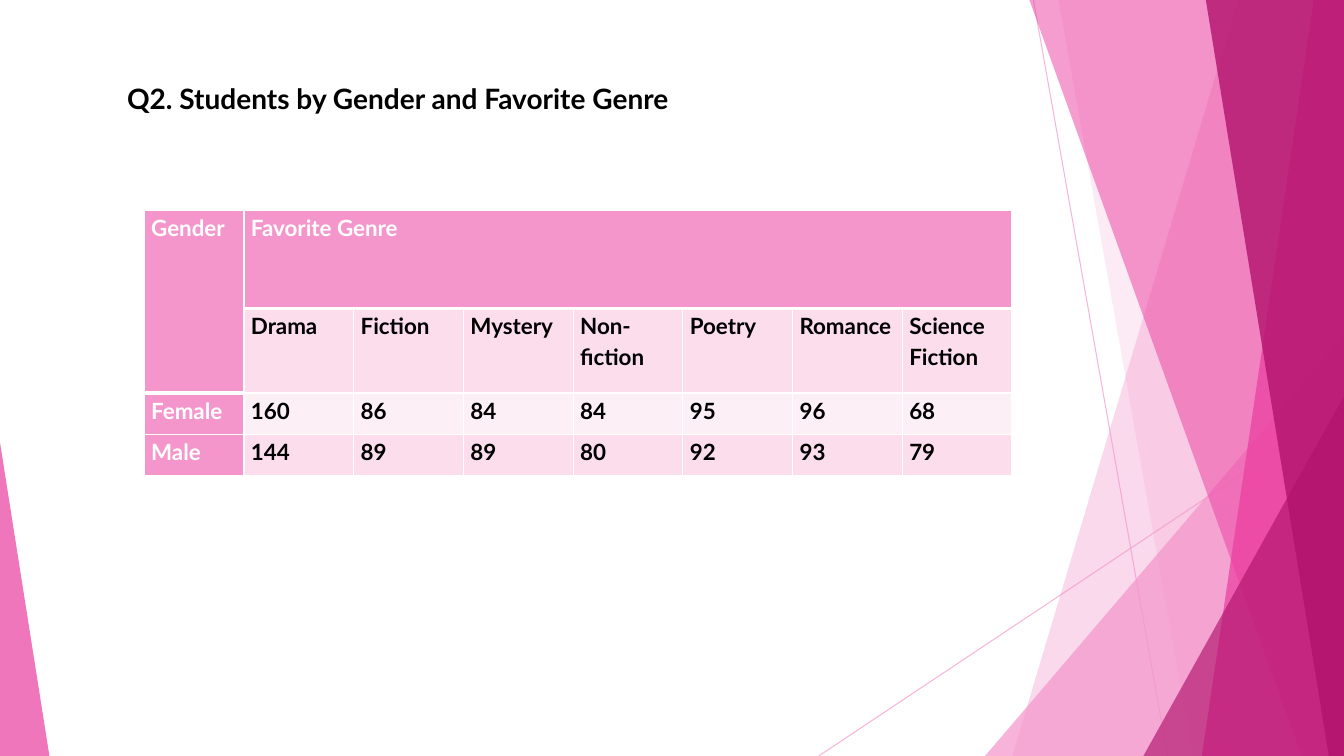
from pptx import Presentation
from pptx.dml.color import RGBColor
from pptx.enum.shapes import MSO_CONNECTOR, MSO_SHAPE
from pptx.enum.text import MSO_ANCHOR, PP_ALIGN
from pptx.oxml.ns import qn
from pptx.util import Inches, Pt
from lxml.etree import SubElement

COLORS = {
    "pink": "F496CB", "rose": "EB3D9F", "berry": "B2136D",
    "light": "FBDDEC", "pale": "FDEFF6", "white": "FFFFFF", "black": "000000",
}
WIDTH, HEIGHT = 13.33, 7.5


def paint(fill, color, opacity=100):
    fill.solid()
    fill.fore_color.rgb = RGBColor.from_string(COLORS[color])
    if opacity < 100:
        tone = fill._xPr.find(qn("a:solidFill"))[0]
        SubElement(tone, qn("a:alpha")).set("val", str(opacity * 1000))


def write(frame, text, size, color):
    frame.text = text
    paragraph = frame.paragraphs[0]
    paragraph.alignment = PP_ALIGN.LEFT
    for name, value in {"name": "Lato", "size": Pt(size), "bold": True}.items():
        setattr(paragraph.font, name, value)
    paragraph.font.color.rgb = RGBColor.from_string(COLORS[color])
    return paragraph


prs = Presentation()
prs.slide_width, prs.slide_height = Inches(WIDTH), Inches(HEIGHT)
slide = prs.slides.add_slide(prs.slide_layouts[5])

rays = [(10.25, 0, 11.58, HEIGHT), (WIDTH, 4.03, 8.12, HEIGHT)]
for ends in rays:
    ray = slide.shapes.add_connector(MSO_CONNECTOR.STRAIGHT, *map(Inches, ends))
    ray.line.width = Pt(0.75)
    paint(ray.line.fill, "pink", 70)
    SubElement(ray._element.spPr, qn("a:effectLst"))

facets = [
    ("band", (12.28, 10.04), "pink", 36),
    ("band", (10.5, 11.83), "pink", 20),
    ("triangle", (9.77, 3.33, 3.56, 1), "pink", 72),
    ("band", (10.21, 12.91), "rose", 50),
    ("band", (13.03, 11.92), "rose", 70),
    ("band", (11.96, 13.18), "berry", 80),
    ("triangle", (11.34, 3.93, 1.99, 1), "berry", 66),
    ("triangle", (0, 4.39, 0.49, 0), "rose", 70),
]
for outline, place, color, opacity in facets:
    if outline == "band":
        top_left, bottom_left = place
        builder = slide.shapes.build_freeform(Inches(top_left), 0)
        corners = [(WIDTH, 0), (WIDTH, HEIGHT), (bottom_left, HEIGHT)]
        builder.add_line_segments([(Inches(x), Inches(y)) for x, y in corners])
        facet = builder.convert_to_shape()
    else:
        left, top, width, apex = place
        facet = slide.shapes.add_shape(
            MSO_SHAPE.ISOSCELES_TRIANGLE,
            Inches(left), Inches(top), Inches(width), Inches(HEIGHT - top))
        facet.adjustments[0] = apex
    paint(facet.fill, color, opacity)
    facet.line.fill.background()
    facet.shadow.inherit = False

heading = slide.shapes.title
heading_box = {"left": 1.16, "top": 0.76, "width": 9.08, "height": 0.44}
for side, length in heading_box.items():
    setattr(heading, side, Inches(length))
heading.text_frame.vertical_anchor = MSO_ANCHOR.TOP
heading.text_frame.word_wrap = True
write(heading.text_frame, "Q2. Students by Gender and Favorite Genre", 20, "black")

genre_counts = [
    ["Gender", "Favorite Genre"] + [""] * 6,
    ["", "Drama", "Fiction", "Mystery", "Non-fiction", "Poetry", "Romance", "Science Fiction"],
    ["Female", "160", "86", "84", "84", "95", "96", "68"],
    ["Male", "144", "89", "89", "80", "92", "93", "79"],
]
row_heights = [0.97, 0.84, 0.41, 0.41]
gender_width, genres_width = 0.99, 7.62
row_fills = ["pink", "light", "pale", "light"]
cell_format = {
    "margin_left": Inches(0.07), "margin_right": Inches(0.07),
    "margin_top": 0, "margin_bottom": 0, "vertical_anchor": MSO_ANCHOR.TOP,
}

genre_table = slide.shapes.add_table(
    4, 8, Inches(1.43), Inches(2.09),
    Inches(gender_width + genres_width), Inches(sum(row_heights))).table
genre_table.horz_banding = False
for row, height in zip(genre_table.rows, row_heights):
    row.height = Inches(height)
for c, column in enumerate(genre_table.columns):
    column.width = Inches(genres_width / 7 if c else gender_width)
genre_table.cell(0, 0).merge(genre_table.cell(1, 0))
genre_table.cell(0, 1).merge(genre_table.cell(0, 7))

for r, entries in enumerate(genre_counts):
    for c, entry in enumerate(entries):
        cell = genre_table.cell(r, c)
        for name, value in cell_format.items():
            setattr(cell, name, value)
        header_end = 0 if c else 1
        thick = {"lnB": r == header_end or (r, c) == (0, 0), "lnT": r == header_end + 1 and r + c > 1}
        for edge in ("lnL", "lnR", "lnT", "lnB"):
            points = 3 if thick.get(edge) else 1
            border = SubElement(cell._tc.get_or_add_tcPr(), qn(f"a:{edge}"), w=str(Pt(points)))
            SubElement(SubElement(border, qn("a:solidFill")), qn("a:srgbClr"), val=COLORS["white"])
        is_header = r == 0 or c == 0
        paint(cell.fill, "pink" if is_header else row_fills[r])
        if entry:
            line = write(cell.text_frame, entry, 16, "white" if is_header else "black")
            line.line_spacing = 1.15

prs.save("out.pptx")
